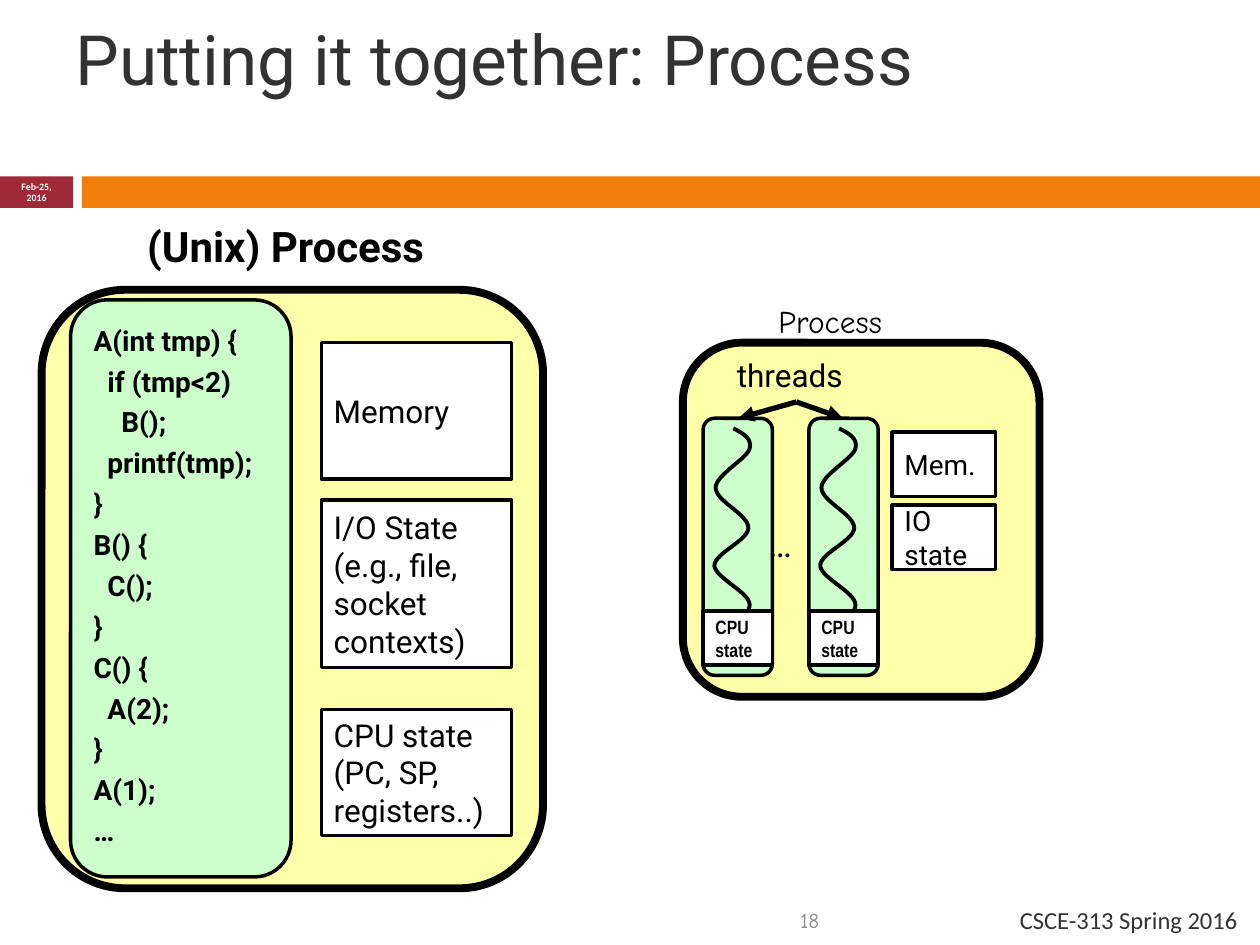
import pptx
import pptx.util
import pptx.dml.color
import pptx.enum.shapes
import pptx.enum.text
import pptx.oxml.ns
from lxml import etree

Inches, Pt = pptx.util.Inches, pptx.util.Pt
SHAPE = pptx.enum.shapes.MSO_SHAPE
ALIGN = pptx.enum.text.PP_ALIGN
ANCHOR = pptx.enum.text.MSO_ANCHOR
qn = pptx.oxml.ns.qn

YELLOW, GREEN, WHITE, BLACK = "FFFFAA", "CCFFCC", "FFFFFF", "000000"
GREY = "323232"

# Code lines: (indent level, text)
CODE = [
    (0, "A(int tmp) {"), (1, "if (tmp<2)"), (2, "B();"), (1, "printf(tmp);"),
    (0, "}"), (0, "B() {"), (1, "C();"), (0, "}"), (0, "C() {"),
    (1, "A(2);"), (0, "}"), (0, "A(1);"), (0, "…"),
]
INDENT = 0.11

# White boxes: (left, top, width, height), paragraphs, size
STATE_BOXES = [
    ((2.55, 2.72, 1.51, 1.08), ["Memory"], 18),
    ((2.55, 3.97, 1.51, 1.33), ["I/O State", "(e.g., file, socket contexts)"], 18),
    ((2.55, 5.63, 1.51, 1), ["CPU state (PC, SP, registers..)"], 18),
    ((7.08, 3.43, 0.82, 0.51), ["Mem."], 16),
    ((7.08, 4.01, 0.82, 0.51), ["IO", "state"], 16),
]

# Labels: (left, top, width, height), text, size, font, colour, options
LABELS = [
    ((0.5, 0.17, 9.33, 0.58), "Putting it together: Process", 39.6, "Roboto", GREY,
     {"anchor": ANCHOR.MIDDLE}),
    ((0, 1.39, 0.58, 0.27), "Feb-25, 2016", 5.6, "Calibri", WHITE,
     {"anchor": ANCHOR.MIDDLE, "align": ALIGN.CENTER, "bold": True}),
    ((1.07, 1.7, 2.56, 0.51), "(Unix) Process", 24, "Roboto", BLACK, {"bold": True}),
    ((6.08, 2.35, 1.16, 0.41), "Process", 18, "Comic Neue", BLACK, {}),
    ((5.75, 2.78, 1.14, 0.41), "threads", 18, "Roboto", BLACK, {}),
    ((6, 4.1, 0.53, 0.45), "…", 20, "Roboto", BLACK, {}),
    ((0.67, 7.1, 5.93, 0.4), "18", 12, "Comic Neue", "898989",
     {"anchor": ANCHOR.MIDDLE, "align": ALIGN.RIGHT}),
    ((7, 7.1, 2.92, 0.4), "CSCE-313 Spring 2016", 14, "Calibri", GREY,
     {"anchor": ANCHOR.MIDDLE, "align": ALIGN.RIGHT}),
]

# Threads: left edges, and the squiggle as Bezier points (x from the left edge)
THREAD_LEFTS = [5.58, 6.42]
THREAD_TOP, THREAD_W, THREAD_H = 3.32, 0.55, 2.04
SQUIGGLE = [
    (0.24, 3.4), (0.32, 3.44), (0.39, 3.48), (0.37, 3.56),
    (0.35, 3.64), (0.1, 3.77), (0.1, 3.87), (0.1, 3.98), (0.36, 4.08), (0.36, 4.19),
    (0.36, 4.29), (0.09, 4.39), (0.09, 4.49), (0.1, 4.59), (0.37, 4.7), (0.37, 4.8),
    (0.37, 4.91), (0.13, 5.04), (0.11, 5.12), (0.09, 5.2), (0.23, 5.28), (0.23, 5.28),
]
ARROW_START, ARROW_TIPS = (6.32, 3.19), [(5.86, 3.32), (6.69, 3.32)]


def rgb(color):
    return pptx.dml.color.RGBColor.from_string(color)


def add_box(s, kind, box, fill, line=None):
    sp = s.shapes.add_shape(kind, *map(Inches, box))
    sp.shadow.inherit = False
    sp.fill.solid()
    sp.fill.fore_color.rgb = rgb(fill)
    if line:
        sp.line.color.rgb = rgb(BLACK)
        sp.line.width = Pt(line)
    else:
        sp.line.fill.background()
    return sp


def write(sp, lines, size, font="Roboto", color=BLACK, bold=False,
          align=ALIGN.LEFT, anchor=ANCHOR.TOP):
    tf = sp.text_frame
    tf.word_wrap = True
    tf.vertical_anchor = anchor
    for i, line in enumerate(lines):
        p = tf.paragraphs[0] if i == 0 else tf.add_paragraph()
        p.alignment = align
        r = p.add_run()
        r.text = line
        r.font.size, r.font.name, r.font.bold = Pt(size), font, bold
        r.font.color.rgb = rgb(color)
    return tf


def add_curve(s, points):
    """Draw a chain of cubic curves through Bezier points."""
    points = [(Inches(x), Inches(y)) for x, y in points]
    fb = s.shapes.build_freeform(*points[0])
    fb.add_line_segments(points[1:], close=False)
    sp = fb.convert_to_shape()
    # Each three line points become one cubic segment
    segments = list(sp._element.iter(qn("a:lnTo")))
    for i in range(0, len(segments), 3):
        cubic = etree.Element(qn("a:cubicBezTo"))
        segments[i].addprevious(cubic)
        for seg in segments[i:i + 3]:
            cubic.append(seg[0])
            seg.getparent().remove(seg)
    sp.shadow.inherit = False
    sp.fill.background()
    sp.line.color.rgb = rgb(BLACK)
    sp.line.width = Pt(2.25)


def add_thread(s, left):
    add_box(s, SHAPE.ROUNDED_RECTANGLE, (left, THREAD_TOP, THREAD_W, THREAD_H), GREEN, 2)
    add_curve(s, [(left + x, y) for x, y in SQUIGGLE])
    cpu = add_box(s, SHAPE.RECTANGLE, (left, 4.85, THREAD_W, 0.43), WHITE, 2)
    write(cpu, ["CPU", "state"], 11, "Arial Narrow", bold=True, anchor=ANCHOR.MIDDLE)


def add_arrow(s, start, end):
    sp = s.shapes.add_connector(pptx.enum.shapes.MSO_CONNECTOR.STRAIGHT,
                                *map(Inches, start + end))
    sp.line.color.rgb = rgb(BLACK)
    sp.line.width = Pt(3)
    ln = sp.line._get_or_add_ln()
    etree.SubElement(ln, qn("a:tailEnd"), type="triangle")
    etree.SubElement(sp._element.spPr, qn("a:effectLst"))


def main():
    prs = pptx.Presentation()
    prs.slide_width, prs.slide_height = Inches(10), Inches(7.5)
    s = prs.slides.add_slide(prs.slide_layouts[6])

    # Header band
    add_box(s, SHAPE.RECTANGLE, (0, 1.4, 0.58, 0.25), "9F2936")
    add_box(s, SHAPE.RECTANGLE, (0.65, 1.4, 9.35, 0.25), "F07F09")

    # Process outlines
    for box in [(0.33, 2.3, 3.98, 4.75), (5.42, 2.72, 2.83, 2.81)]:
        add_box(s, SHAPE.ROUNDED_RECTANGLE, box, YELLOW, 4.5)

    # Code panel
    code = add_box(s, SHAPE.ROUNDED_RECTANGLE, (0.56, 2.38, 1.75, 4.58), GREEN, 2)
    tf = write(code, [text for _, text in CODE], 16, bold=True, anchor=ANCHOR.MIDDLE)
    for p, (level, _) in zip(tf.paragraphs, CODE):
        p.line_spacing = 0.8
        p.space_before = Pt(8)
        p._p.get_or_add_pPr().set("marL", str(Inches(INDENT * level)))

    # State boxes, threads and arrows
    for box, lines, size in STATE_BOXES:
        sp = add_box(s, SHAPE.RECTANGLE, box, WHITE, 2)
        write(sp, lines, size, anchor=ANCHOR.MIDDLE)
    for left in THREAD_LEFTS:
        add_thread(s, left)
    for tip in ARROW_TIPS:
        add_arrow(s, ARROW_START, tip)

    # Labels
    for box, text, size, font, color, options in LABELS:
        sp = s.shapes.add_textbox(*map(Inches, box))
        write(sp, [text], size, font, color, **options)

    prs.save("out.pptx")


if __name__ == "__main__":
    main()
